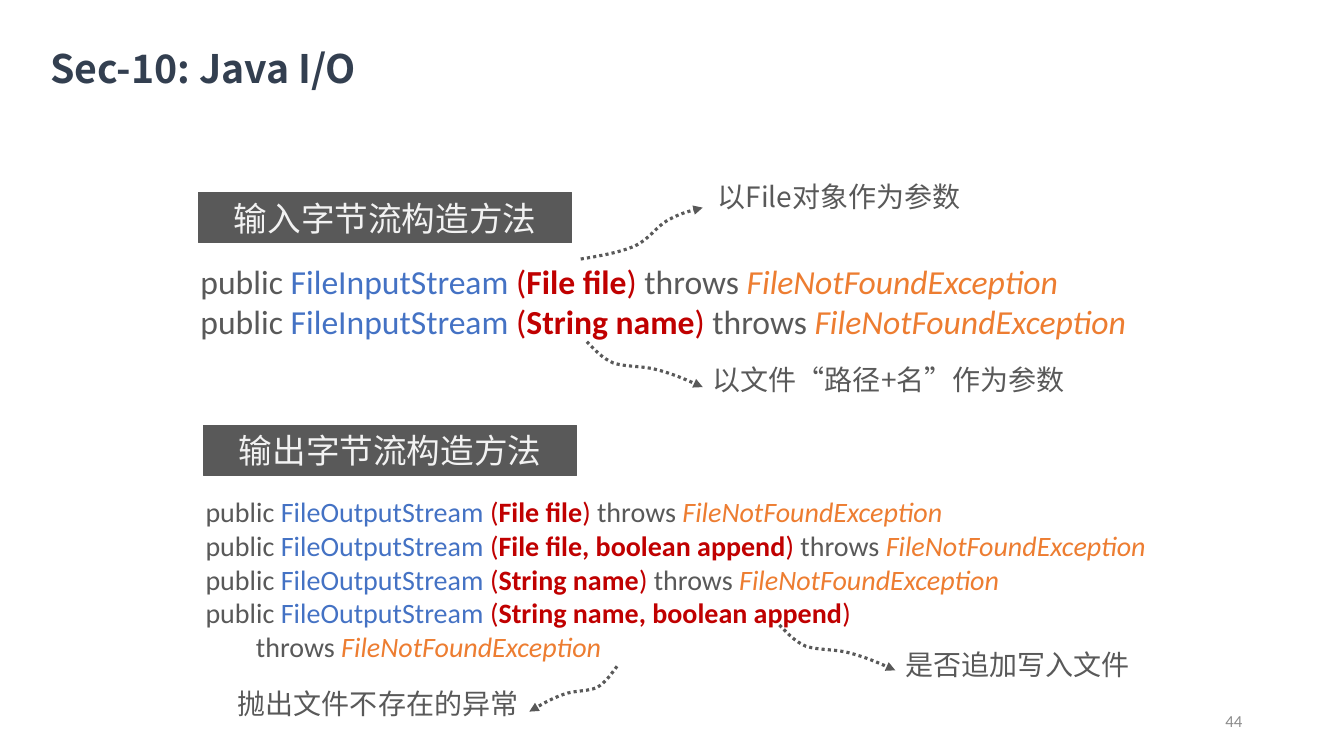
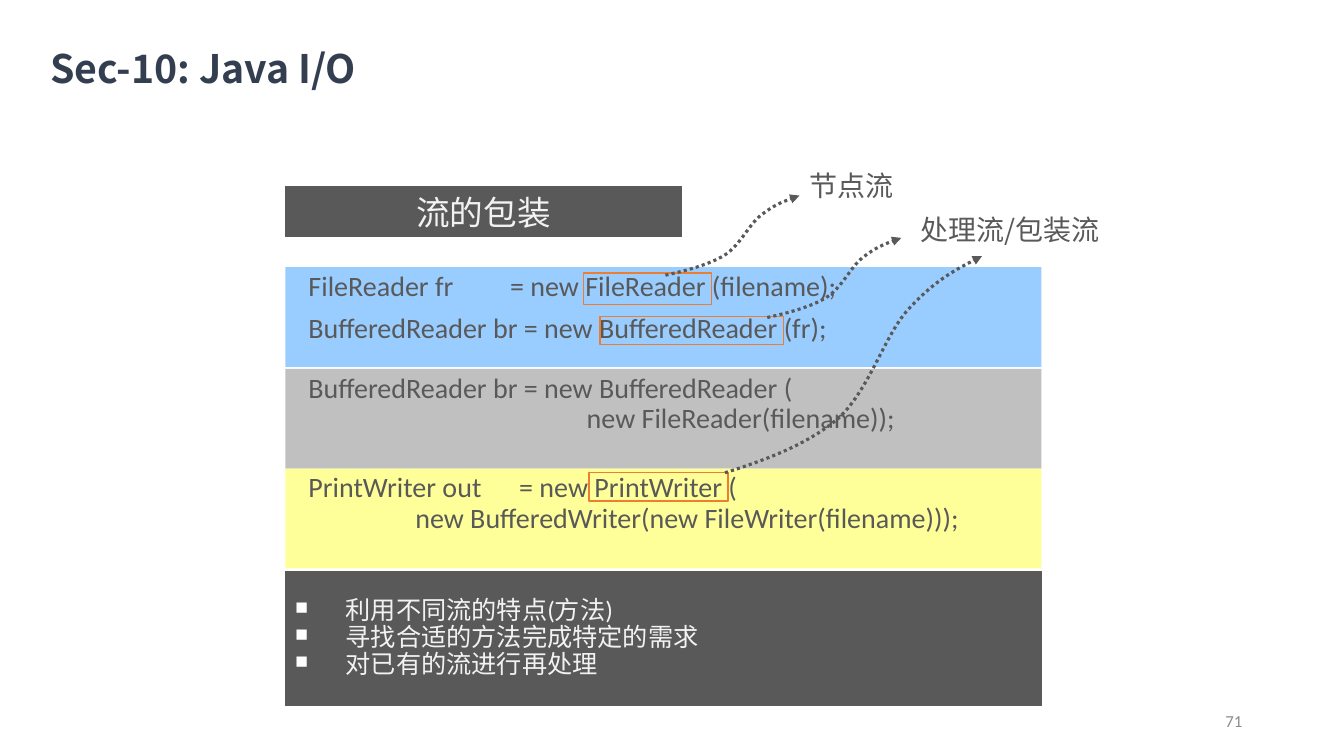
"""Build two Java I/O slides: stream constructors and stream wrapping."""
from lxml.etree import SubElement
from pptx import Presentation
from pptx.dml.color import RGBColor
from pptx.enum.dml import MSO_LINE
from pptx.enum.shapes import MSO_SHAPE
from pptx.enum.text import MSO_ANCHOR, PP_ALIGN
from pptx.oxml.ns import qn
from pptx.util import Inches, Pt

GREY, LIGHT, BLUE, RED, ORANGE = "595959", "F2F2F2", "4472C4", "C00000", "ED7D31"
LATIN, CHINESE = "Calibri", "Noto Sans CJK SC"
RISE = [(0, 0), (0.16, 0.06), (0.32, 0.13), (0.44, 0.25), (0.56, 0.38),
        (0.62, 0.63), (0.71, 0.75), (0.81, 0.88), (0.9, 0.94), (1, 1)]
FALL = [(0, 0), (0.07, 0.18), (0.13, 0.36), (0.23, 0.47), (0.34, 0.56),
        (0.49, 0.53), (0.61, 0.62), (0.74, 0.71), (0.87, 0.85), (1, 1)]


def style_run(run, size, color, name, bold=False, italic=False):
    """Set the look of one run, for Latin and Chinese letters alike."""
    font = run.font
    font.size, font.bold, font.italic, font.name = Pt(size), bold, italic, name
    font.color.rgb = RGBColor.from_string(color)
    properties = run._r.get_or_add_rPr()
    east_asian = SubElement(properties, qn("a:ea"), typeface=name)
    properties.find(qn("a:latin")).addnext(east_asian)


def add_box(slide, position, text="", size=20, color=GREY, name=CHINESE, bold=False,
            fill=None, line=None, width=0.75, align=PP_ALIGN.LEFT, anchor=MSO_ANCHOR.TOP):
    """Add a text box, or a rectangle if it has a fill or a line."""
    place = [Inches(value) for value in position]
    if fill or line:
        shape = slide.shapes.add_shape(MSO_SHAPE.RECTANGLE, *place)
        shape.shadow.inherit = False
        if fill:
            shape.fill.solid()
            shape.fill.fore_color.rgb = RGBColor.from_string(fill)
        else:
            shape.fill.background()
        if line:
            shape.line.color.rgb = RGBColor.from_string(line)
            shape.line.width = Pt(width)
        else:
            shape.line.fill.background()
    else:
        shape = slide.shapes.add_textbox(*place)
    frame = shape.text_frame
    frame.word_wrap = True
    frame.vertical_anchor = anchor
    frame.text = text
    for paragraph in frame.paragraphs:
        paragraph.alignment = align
        for run in paragraph.runs:
            style_run(run, size, color, name, bold)
    return shape


presentation = Presentation()
presentation.slide_width, presentation.slide_height = Inches(13.33), Inches(7.5)
slides = []
for number in ("44", "71"):
    slide = presentation.slides.add_slide(presentation.slide_layouts[6])
    slides.append(slide)
    add_box(slide, (9.42, 6.95, 3, 0.4), number, 12, "8C8C8C", LATIN,
            align=PP_ALIGN.RIGHT, anchor=MSO_ANCHOR.MIDDLE)
    title = add_box(slide, (0.5, 0.42, 6.48, 0.48), "Sec-10: Java I/O", 28, "333F50", bold=True)
    frame = title.text_frame
    frame.margin_left = frame.margin_right = frame.margin_bottom = 0
    frame.margin_top = Inches(0.02)
constructors, wrapping = slides

for slide, position, text in (
    (constructors, (1.97, 1.91, 3.7, 0.5), "输入字节流构造方法"),
    (constructors, (2.02, 4.22, 3.7, 0.5), "输出字节流构造方法"),
    (wrapping, (2.83, 1.85, 3.93, 0.5), "流的包装"),
):
    header = add_box(slide, position, text, 24, LIGHT, fill=GREY, line=GREY,
                     align=PP_ALIGN.CENTER, anchor=MSO_ANCHOR.MIDDLE)
    header.text_frame.margin_top = header.text_frame.margin_bottom = 0

for position, size, class_name, signatures in (
    ((1.89, 2.54, 10.16, 0.91), 24, "FileInputStream ", ["File file", "String name"]),
    ((1.94, 4.86, 10.16, 1.78), 20, "FileOutputStream ",
     ["File file", "File file, boolean append", "String name", "String name, boolean append"]),
):
    frame = add_box(constructors, position).text_frame
    paragraph = frame.paragraphs[0]
    for index, parameters in enumerate(signatures):
        if index:
            paragraph = frame.add_paragraph()
        pieces = [("public ", GREY), (class_name, BLUE), ("(", RED), (parameters, RED, True),
                  (") ", RED), ("throws ", GREY), ("FileNotFoundException", ORANGE, False, True)]
        for piece, color, *emphasis in pieces:
            if piece == "throws " and parameters == "String name, boolean append":
                paragraph = frame.add_paragraph()
                paragraph._p.get_or_add_pPr().set("marL", str(Inches(0.5)))
            run = paragraph.add_run()
            run.text = piece
            style_run(run, size, color, LATIN, *emphasis)

for top, fill, tab, lines in (
    (2.65, "99CCFF", 2, [("FileReader fr\t= new FileReader (filename);", 0, 0),
                         ("BufferedReader br = new BufferedReader (fr);", 0, 8.8)]),
    (3.66, "C0C0C0", 2, [("BufferedReader br = new BufferedReader (", 0, 0),
                         ("new FileReader(filename));", 2.76, 0)]),
    (4.65, "FFFF99", 2.09, [("PrintWriter out\t= new PrintWriter (", 0, 0),
                            ("new BufferedWriter(new FileWriter(filename)));", 1.06, 0)]),
):
    text = "\n".join(line[0] for line in lines)
    panel = add_box(wrapping, (2.83, top, 7.5, 0.99), text, name=LATIN, fill=fill)
    panel.text_frame.margin_left = Inches(0.23)
    for paragraph, (code, indent, space) in zip(panel.text_frame.paragraphs, lines):
        properties = paragraph._p.get_or_add_pPr()
        properties.set("marL", str(Inches(indent)))
        if "\t" in code:
            tabs = SubElement(properties, qn("a:tabLst"))
            SubElement(tabs, qn("a:tab"), pos=str(Inches(tab)), algn="l")
        paragraph.line_spacing = 0.9
        if space:
            paragraph.space_before = Pt(space)

summary = add_box(wrapping, (2.83, 5.67, 7.5, 1.33),
                  "利用不同流的特点(方法)\n寻找合适的方法完成特定的需求\n对已有的流进行再处理",
                  18, LIGHT, LATIN, fill=GREY, line=GREY, anchor=MSO_ANCHOR.MIDDLE)
for paragraph in summary.text_frame.paragraphs:
    properties = paragraph._p.get_or_add_pPr()
    properties.set("marL", str(Inches(0.5)))
    properties.set("indent", str(Inches(-0.5)))
    bullet_color = SubElement(properties, qn("a:buClr"))
    SubElement(bullet_color, qn("a:srgbClr"), val="FFFFFF")
    SubElement(properties, qn("a:buSzPct"), val="70000")
    SubElement(properties, qn("a:buChar"), char="■")
    paragraph.line_spacing = 0.9

for position in ((5.79, 2.71, 1.27, 0.31), (5.95, 3.14, 1.82, 0.28), (5.84, 4.69, 1.38, 0.28)):
    add_box(wrapping, position, line=ORANGE, width=1)

for slide, position, text in (
    (constructors, (7.02, 1.78, 3.03, 0.44), "以File对象作为参数"),
    (constructors, (6.97, 3.6, 3.79, 0.44), "以文件“路径+名”作为参数"),
    (constructors, (8.88, 6.43, 2.52, 0.44), "是否追加写入文件"),
    (constructors, (2.26, 6.81, 3.41, 0.44), "抛出文件不存在的异常"),
    (wrapping, (7.93, 1.67, 1.1, 0.44), "节点流"),
    (wrapping, (9.03, 2.11, 2.2, 0.44), "处理流/包装流"),
):
    label = add_box(slide, position, text)
    label.text_frame.paragraphs[0].line_spacing = 0.85

for slide, profile, left, top, right, bottom in (
    (constructors, RISE, 5.76, 2.57, 6.97, 2.06),
    (constructors, FALL, 5.82, 3.39, 6.97, 3.84),
    (constructors, FALL, 7.73, 6.2, 8.88, 6.65),
    (constructors, FALL, 6.12, 6.61, 5.25, 7.06),
    (wrapping, RISE, 6.6, 2.73, 7.93, 1.94),
    (wrapping, RISE, 7.61, 3.15, 8.94, 2.36),
    (wrapping, RISE, 7.19, 4.69, 9.74, 2.54),
):
    points = [(Inches(left + x * (right - left)), Inches(top + y * (bottom - top)))
              for x, y in profile]
    builder = slide.shapes.build_freeform(*points[0])
    builder.add_line_segments(points[1:], close=False)
    arrow = builder.convert_to_shape()
    segments = list(arrow._element.iter(qn("a:lnTo")))
    outline = segments[0].getparent()
    for start in range(0, len(segments), 3):
        curve = SubElement(outline, qn("a:cubicBezTo"))
        for segment in segments[start:start + 3]:
            curve.append(segment[0])
            outline.remove(segment)
    arrow.shadow.inherit = False
    arrow.fill.background()
    arrow.line.color.rgb = RGBColor.from_string(GREY)
    arrow.line.width = Pt(2.25)
    arrow.line.dash_style = MSO_LINE.ROUND_DOT
    SubElement(arrow.line._get_or_add_ln(), qn("a:tailEnd"), type="triangle")

presentation.save("out.pptx")
